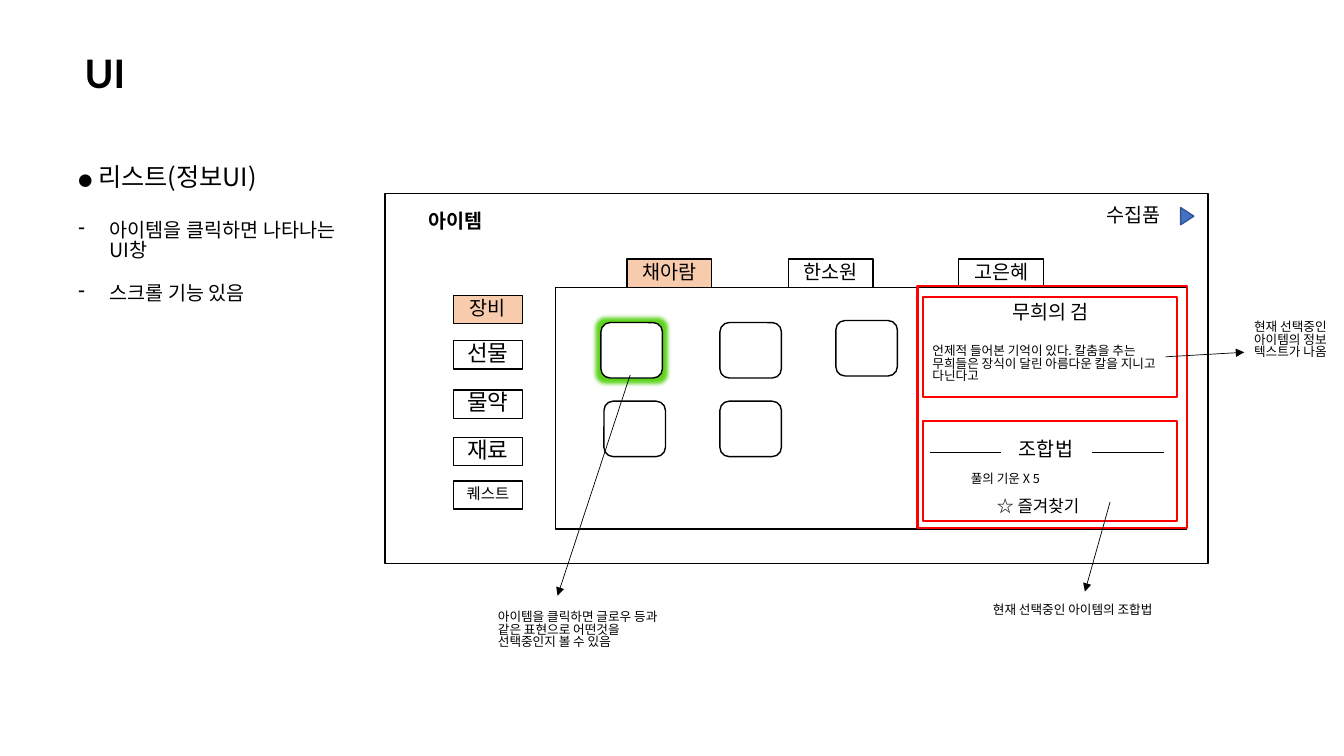
"""Build the item list UI slide with its annotated inventory window."""
from lxml import etree
from pptx import Presentation
from pptx.dml.color import RGBColor
from pptx.enum.shapes import MSO_CONNECTOR, MSO_SHAPE
from pptx.enum.text import MSO_ANCHOR, PP_ALIGN
from pptx.oxml.ns import qn
from pptx.util import Pt

PX = 9144
RECT, ROUND, TRIANGLE = MSO_SHAPE.RECTANGLE, MSO_SHAPE.ROUNDED_RECTANGLE, MSO_SHAPE.ISOSCELES_TRIANGLE
STRAIGHT = MSO_CONNECTOR.STRAIGHT
LEFT, CENTER, MIDDLE = PP_ALIGN.LEFT, PP_ALIGN.CENTER, MSO_ANCHOR.MIDDLE
HANGUL, LATIN = "Noto Sans CJK KR", "Lato"
COLORS = {"ink": "000000", "paper": "FFFFFF", "selected": "F8CBAD", "mark": "FF0000",
          "arrow": "4472C4", "arrow_edge": "325491", "glow": "5FD41F"}

prs = Presentation()
prs.slide_width, prs.slide_height = 1333 * PX, 750 * PX
slide = prs.slides.add_slide(prs.slide_layouts[6])


def draw(box, preset=RECT, fill=None, line="ink", width=1):
    shape = slide.shapes.add_shape(preset, *[n * PX for n in box])
    shape.shadow.inherit = False
    if fill:
        shape.fill.solid()
        shape.fill.fore_color.rgb = RGBColor.from_string(COLORS[fill])
    else:
        shape.fill.background()
    shape.line.color.rgb = RGBColor.from_string(COLORS[line])
    shape.line.width = Pt(width)
    return shape


def write(paragraph, text, size=14, bold=False, align=LEFT, font=HANGUL, spacing=0.83):
    paragraph.alignment = align
    paragraph.line_spacing = spacing
    run = paragraph.add_run()
    run.text = text
    run.font.size, run.font.bold, run.font.name = Pt(size), bold, font
    run.font.color.rgb = RGBColor.from_string(COLORS["ink"])
    etree.SubElement(run.font._element, qn("a:ea"), typeface=font)


draw((382, 192, 816, 367))
draw((551, 285, 626, 240))
draw((1169, 208, 17, 13), TRIANGLE, "arrow", "arrow_edge").rotation = 90

categories = [("장비", 293, 14), ("선물", 338, 16), ("물약", 387, 16), ("재료", 434, 16), ("퀘스트", 477, 11)]
buttons = [(name, (450, top, 68, 28), size) for name, top, size in categories]
buttons += [(name, (left, 257, 84, 28), 14)
            for name, left in [("채아람", 622), ("한소원", 782), ("고은혜", 951)]]
for name, box, size in buttons:
    button = draw(box, fill="selected" if name in ("장비", "채아람") else "paper")
    button.text_frame.vertical_anchor = MIDDLE
    write(button.text_frame.paragraphs[0], name, size, align=CENTER)

slots = [draw((left, top, 61, 55), ROUND, "paper")
         for left, top in [(596, 320), (714, 320), (829, 318), (599, 398), (714, 398)]]
effects = slots[0]._element.spPr.find(qn("a:effectLst"))
glow = etree.SubElement(effects, qn("a:glow"), rad="76200")
etree.SubElement(glow, qn("a:srgbClr"), val=COLORS["glow"])

draw((910, 285, 267, 240), fill="paper")
for box in [(910, 284, 267, 240), (915, 295, 252, 99), (915, 418, 252, 99)]:
    draw(box, line="mark", width=1.5)

labels = [
    ("UI", (74, 44, 273, 57), dict(size=28, bold=True, font=LATIN, spacing=1)),
    ("아이템", (410, 206, 84, 33), dict(bold=True, align=CENTER)),
    ("수집품", (1082, 200, 84, 33), dict(align=CENTER)),
    ("무희의 검", (987, 297, 110, 34), dict(align=CENTER)),
    ("언제적 들어본 기억이 있다. 칼춤을 추는 무희들은 장식이 달린 아름다운 칼을 지니고 다닌다고",
     (915, 338, 253, 56), dict(size=9)),
    ("조합법", (996, 432, 83, 34), dict(align=CENTER)),
    ("풀의 기운 X 5", (953, 465, 99, 25), dict(size=9)),
    ("☆ 즐겨찾기", (979, 490, 114, 30), dict(size=12)),
    ("아이템을 클릭하면 글로우 등과 같은 표현으로 어떤것을 선택중인지 볼 수 있음",
     (484, 602, 196, 56), dict(size=9)),
    ("현재 선택중인 아이템의 조합법", (975, 595, 196, 25), dict(size=9)),
    ("현재 선택중인 아이템의 정보 텍스트가 나옴", (1234, 314, 99, 71), dict(size=9)),
]
for text, box, style in labels:
    label = slide.shapes.add_textbox(*[n * PX for n in box])
    label.text_frame.word_wrap = True
    write(label.text_frame.paragraphs[0], text, **style)
info_note = label

summary = slide.shapes.add_textbox(68 * PX, 160 * PX, 289 * PX, 165 * PX).text_frame
summary.word_wrap = True
write(summary.paragraphs[0], "●", 10)
write(summary.paragraphs[0], " 리스트(정보UI)", 18)
for text, gap in [("아이템을 클릭하면 나타나는 UI창", 22), ("스크롤 기능 있음", 17)]:
    point = summary.add_paragraph()
    properties = point._p.get_or_add_pPr()
    properties.set("marL", str(31 * PX))
    properties.set("indent", str(-31 * PX))
    etree.SubElement(properties, qn("a:buChar"), char="-")
    point.space_before = Pt(gap)
    write(point, text)

connectors = [
    ((922, 449, 993, 449), 1, False, None),
    ((1083, 449, 1154, 449), 1, False, None),
    ((1156, 354, 1234, 349), 0.5, True, info_note),
    ((625, 372, 553, 591), 0.5, True, None),
    ((1101, 498, 1076, 587), 0.5, True, None),
]
for ends, width, arrow, target in connectors:
    connector = slide.shapes.add_connector(STRAIGHT, *[n * PX for n in ends])
    connector.line.color.rgb = RGBColor.from_string(COLORS["ink"])
    connector.line.width = Pt(width)
    if arrow:
        etree.SubElement(connector.line._get_or_add_ln(), qn("a:tailEnd"), type="triangle")
    etree.SubElement(connector._element.spPr, qn("a:effectLst"))
    if target:
        connector.end_connect(target, 1)

prs.save("out.pptx")
